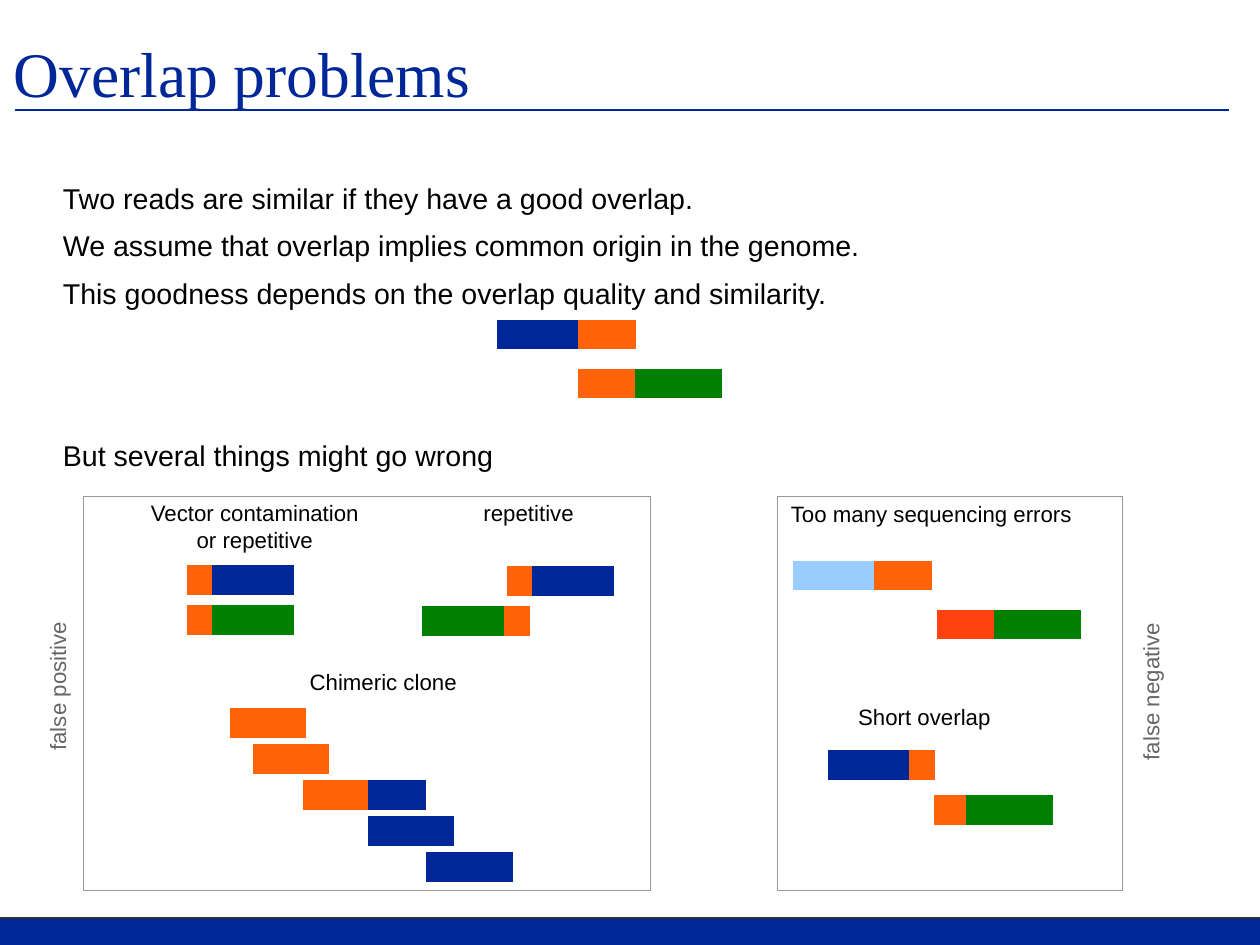
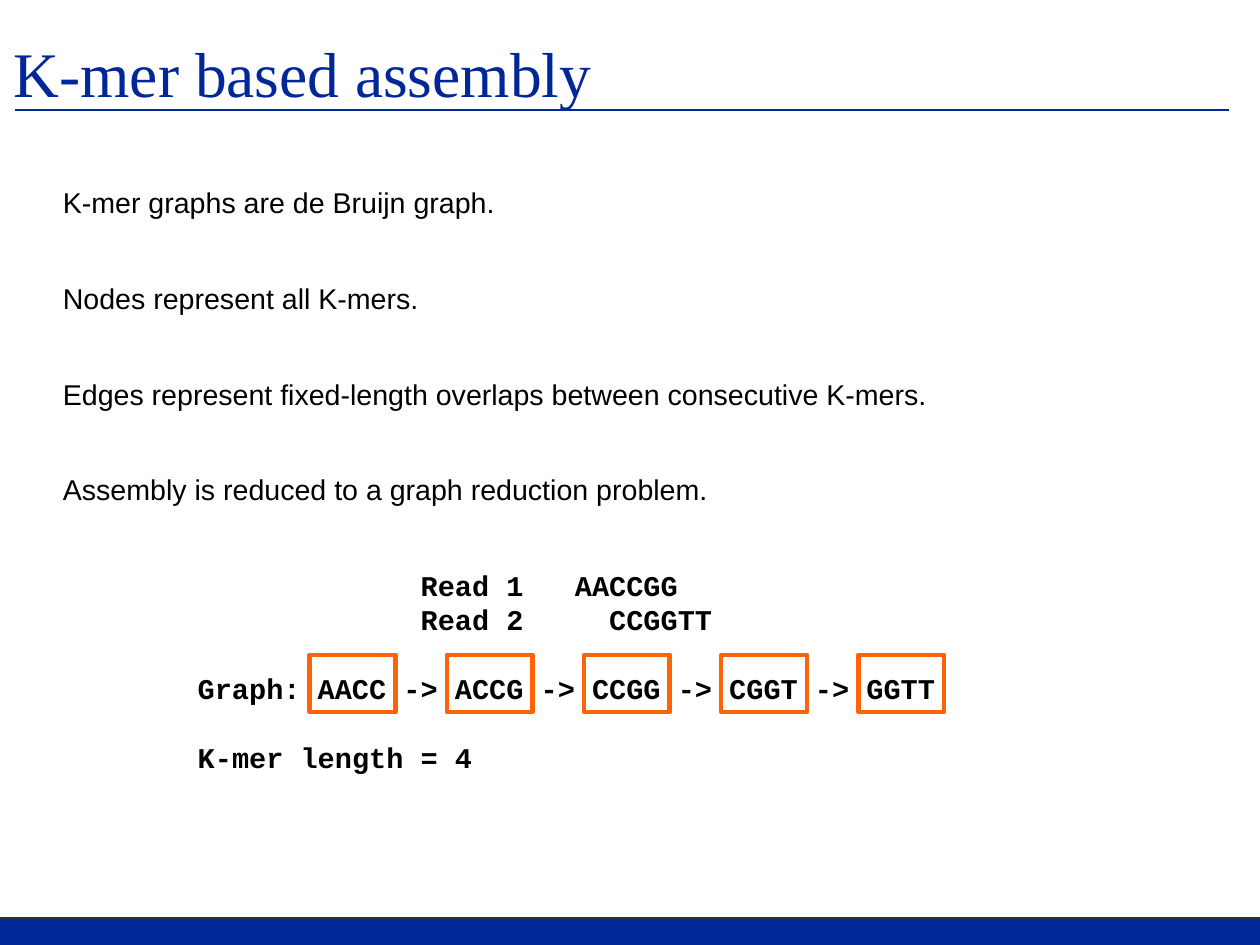
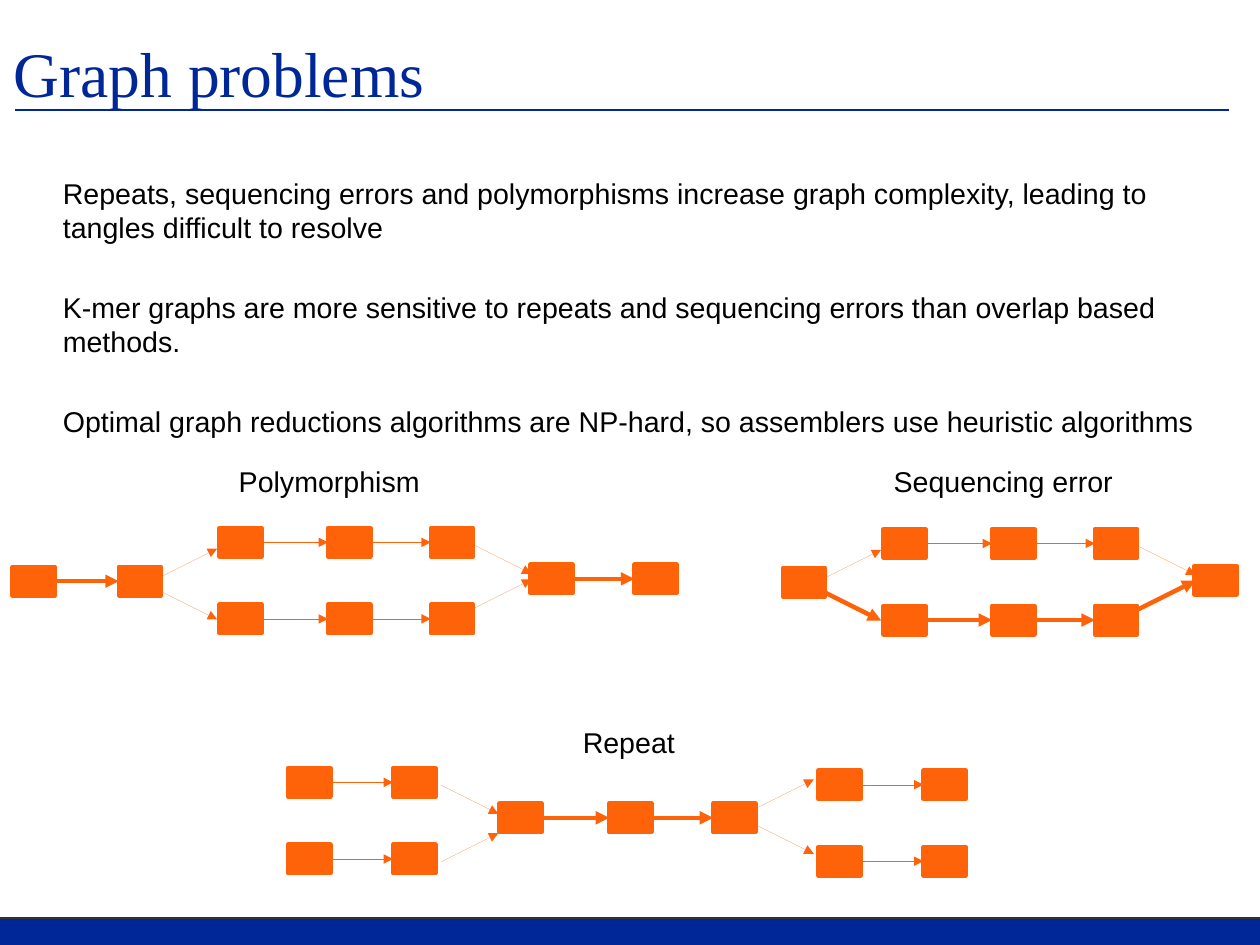
from lxml import etree
from pptx import Presentation
from pptx import util as u
from pptx.dml.color import RGBColor
from pptx.enum import shapes, text
from pptx.oxml import ns

W, H = u.Cm(28), u.Cm(21)
COLORS = {
    "navy": "002798", "orange": "FF6309", "green": "008000", "sky": "99CCFF",
    "red": "FF420E", "black": "000000", "white": "FFFFFF", "grey": "666666",
    "panel": "999999", "edge": "2E3436",
}
READ_H = 0.25
NODE_W, NODE_H = 0.37, 0.25
THIN, THICK = 0.01, 2.83
CHAR, LINE = 0.15, 0.3


def rgb(name):
    return RGBColor.from_string(COLORS[name])


def inches(*values):
    return [u.Inches(v) for v in values]


def add_box(s, x, y, w, h, fill=None, line=None, width=THIN):
    sp = s.shapes.add_shape(shapes.MSO_SHAPE.RECTANGLE, *inches(x, y, w, h))
    sp.shadow.inherit = False
    if fill:
        sp.fill.solid()
        sp.fill.fore_color.rgb = rgb(fill)
    else:
        sp.fill.background()
    if line:
        sp.line.color.rgb = rgb(line)
        sp.line.width = u.Pt(width)
    else:
        sp.line.fill.background()
    return sp


def add_line(s, x1, y1, x2, y2, color, width, arrow=False):
    c = s.shapes.add_connector(shapes.MSO_CONNECTOR.STRAIGHT, *inches(x1, y1, x2, y2))
    c.line.color.rgb = rgb(color)
    c.line.width = u.Pt(width)
    if arrow:
        ln = c._element.spPr.find(ns.qn("a:ln"))
        etree.SubElement(ln, ns.qn("a:tailEnd"), type="triangle")
    etree.SubElement(c._element.spPr, ns.qn("a:effectLst"))
    return c


def format_text(tf, size, font="Arial", color="black", bold=False):
    for p in tf.paragraphs:
        for r in p.runs:
            r.font.size = u.Pt(size)
            r.font.name = font
            r.font.bold = bold
            r.font.color.rgb = rgb(color)


def clear_margins(tf):
    tf.margin_left = tf.margin_right = tf.margin_top = tf.margin_bottom = 0


def add_text(s, x, y, w, h, words, size=14, inset=True, wrap=True, **style):
    sp = s.shapes.add_textbox(*inches(x, y, w, h))
    tf = sp.text_frame
    tf.word_wrap = wrap
    if not inset:
        clear_margins(tf)
    tf.text = words
    format_text(tf, size, **style)
    return sp


def add_label(s, x, y, w, words, size=14, centered=False):
    sp = add_text(s, x, y, w, 0.32, words, size)
    if centered:
        sp.text_frame.paragraphs[0].alignment = text.PP_ALIGN.CENTER


def add_side_label(s, x, y, w, words):
    sp = add_text(s, x, y, w, 0.32, words, wrap=False, color="grey")
    sp.rotation = 270


def add_body(s, top, lines, after):
    sp = add_text(s, 0.55, top, 9.92, 5.46, "\n".join(lines), 18, inset=False)
    for p in sp.text_frame.paragraphs:
        p.space_after = u.Pt(after)
    return sp.text_frame


def add_slide(prs, title):
    s = prs.slides.add_slide(prs.slide_layouts[5])
    add_box(s, 0, 8.03, W.inches, 0.25, "navy")
    add_line(s, 0, 8.03, W.inches, 8.03, "edge", 1.42)
    add_line(s, 0.13, 0.96, 10.75, 0.96, "navy", 1.42)
    sp = s.shapes.title
    sp.left, sp.top, sp.width, sp.height = inches(0.12, -0.06, 10.47, 1.38)
    tf = sp.text_frame
    clear_margins(tf)
    tf.vertical_anchor = text.MSO_ANCHOR.MIDDLE
    tf.auto_size = text.MSO_AUTO_SIZE.NONE
    tf.text = title
    tf.paragraphs[0].alignment = text.PP_ALIGN.LEFT
    format_text(tf, 40, "Times New Roman", "navy")
    return s


def add_read(s, x, y, *segments):
    for width, color in segments:
        add_box(s, x, y, width, READ_H, color, color)
        x += width


def add_node(s, x, y):
    return add_box(s, x, y, NODE_W, NODE_H, "orange", "orange", THICK)


def link(s, a, b, width=THIN):
    c = add_line(s, 0, 0, 1, 1, "orange", width, arrow=True)
    c.begin_connect(a, 3)
    c.end_connect(b, 1)


def add_chain(s, y, xs, width=THIN):
    nodes = [add_node(s, x, y) for x in xs]
    for a, b in zip(nodes, nodes[1:]):
        link(s, a, b, width)


def add_slope(s, x, y, rise, width=THIN):
    add_line(s, x, y, x + 0.5, y + rise, "orange", width, arrow=True)


def add_bubble(s, x, y, lower=THIN):
    start = add_node(s, x, y + 0.34)
    end = add_node(s, x + 3.6, y + 0.32)
    for row, width in ((0, THIN), (0.67, lower)):
        add_chain(s, y + row, [x + dx for dx in (0.88, 1.83, 2.73)], width)
    add_slope(s, x + 0.36, y + 0.43, -0.25)
    add_slope(s, x + 0.36, y + 0.55, 0.25, lower)
    add_slope(s, x + 3.11, y + 0.15, 0.25)
    add_slope(s, x + 3.11, y + 0.7, -0.25, lower)
    return start, end


def overlap_problems(prs):
    s = add_slide(prs, "Overlap problems")
    tf = add_body(s, 1.58, [
        "Two reads are similar if they have a good overlap.",
        "We assume that overlap implies common origin in the genome.",
        "This goodness depends on the overlap quality and similarity.",
        "But several things might go wrong",
    ], 8.5)
    tf.paragraphs[3].space_before = u.Pt(72)

    for x, w in ((0.73, 4.96), (6.8, 3.02)):
        add_box(s, x, 4.34, w, 3.45, line="panel")
    add_side_label(s, -0.17, 5.84, 1.33, "false positive")
    add_side_label(s, 9.36, 5.89, 1.4, "false negative")

    add_label(s, 1.11, 4.32, 2.24, "Vector contamination or repetitive", centered=True)
    add_label(s, 4.03, 4.32, 1.19, "repetitive", centered=True)
    add_label(s, 2.61, 5.8, 1.59, "Chimeric clone")
    add_label(s, 6.82, 4.33, 2.82, "Too many sequencing errors")
    add_label(s, 7.41, 6.1, 1.63, "Short overlap")

    reads = [
        (4.35, 2.8, (0.71, "navy"), (0.5, "orange")),
        (5.06, 3.23, (0.5, "orange"), (0.75, "green")),
        (1.64, 4.95, (0.22, "orange"), (0.71, "navy")),
        (1.64, 5.3, (0.22, "orange"), (0.71, "green")),
        (4.44, 4.96, (0.22, "orange"), (0.71, "navy")),
        (3.7, 5.31, (0.71, "green"), (0.22, "orange")),
        (6.94, 4.91, (0.71, "sky"), (0.5, "orange")),
        (8.2, 5.34, (0.5, "red"), (0.75, "green")),
        (7.25, 6.57, (0.71, "navy"), (0.22, "orange")),
        (8.18, 6.96, (0.28, "orange"), (0.75, "green")),
    ]
    for read in reads:
        add_read(s, *read)

    clone = [
        (2.02, [(0.65, "orange")]),
        (2.22, [(0.65, "orange")]),
        (2.66, [(0.56, "orange"), (0.5, "navy")]),
        (3.22, [(0.75, "navy")]),
        (3.73, [(0.75, "navy")]),
    ]
    for row, (x, segments) in enumerate(clone):
        add_read(s, x, 6.2 + row * 0.315, *segments)


def kmer_assembly(prs):
    s = add_slide(prs, "K-mer based assembly")
    add_body(s, 1.62, [
        "K-mer graphs are de Bruijn graph.",
        "Nodes represent all K-mers.",
        "Edges represent fixed-length overlaps between consecutive K-mers.",
        "Assembly is reduced to a graph reduction problem.",
    ], 38.7)
    for i in range(5):
        add_box(s, 2.71 + i * 1.2, 5.73, 0.75, 0.5, "white", "orange", THICK)
    cells = [
        (13, 0, "Read 1"), (22, 0, "AACCGG"),
        (13, 1, "Read 2"), (24, 1, "CCGGTT"),
        (0, 3, "Graph: AACC -> ACCG -> CCGG -> CGGT -> GGTT"),
        (0, 5, "K-mer length = 4"),
    ]
    for col, row, words in cells:
        add_text(s, 1.73 + col * CHAR, 4.97 + row * LINE, (len(words) + 1) * CHAR, LINE,
                 words, 18, inset=False, font="Courier New", bold=True)


def graph_problems(prs):
    s = add_slide(prs, "Graph problems")
    add_body(s, 1.54, [
        "Repeats, sequencing errors and polymorphisms increase graph complexity, "
        "leading to tangles difficult to resolve",
        "K-mer graphs are more sensitive to repeats and sequencing errors than "
        "overlap based methods.",
        "Optimal graph reductions algorithms are NP-hard, so assemblers use "
        "heuristic algorithms",
    ], 28.7)

    add_label(s, 1.99, 4.01, 2.01, "Polymorphism", 18)
    start, end = add_bubble(s, 1.04, 4.62)
    link(s, add_node(s, 0.11, 4.96), start, THICK)
    link(s, end, add_node(s, 5.55, 4.94), THICK)

    add_label(s, 7.72, 4.01, 2.24, "Sequencing error", 18)
    add_bubble(s, 6.85, 4.63, lower=THICK)

    add_label(s, 5, 6.29, 1.38, "Repeat", 18)
    add_chain(s, 7.03, (4.37, 5.33, 6.24), THICK)
    for row in (0, 0.67):
        add_chain(s, 6.72 + row, (2.52, 3.44))
        add_chain(s, 6.74 + row, (7.16, 8.08))
    add_slope(s, 3.86, 6.87, 0.25)
    add_slope(s, 3.86, 7.54, -0.25)
    add_slope(s, 6.62, 7.07, -0.25)
    add_slope(s, 6.62, 7.22, 0.25)


def main():
    prs = Presentation()
    prs.slide_width, prs.slide_height = W, H
    overlap_problems(prs)
    kmer_assembly(prs)
    graph_problems(prs)
    prs.save("out.pptx")


if __name__ == "__main__":
    main()
